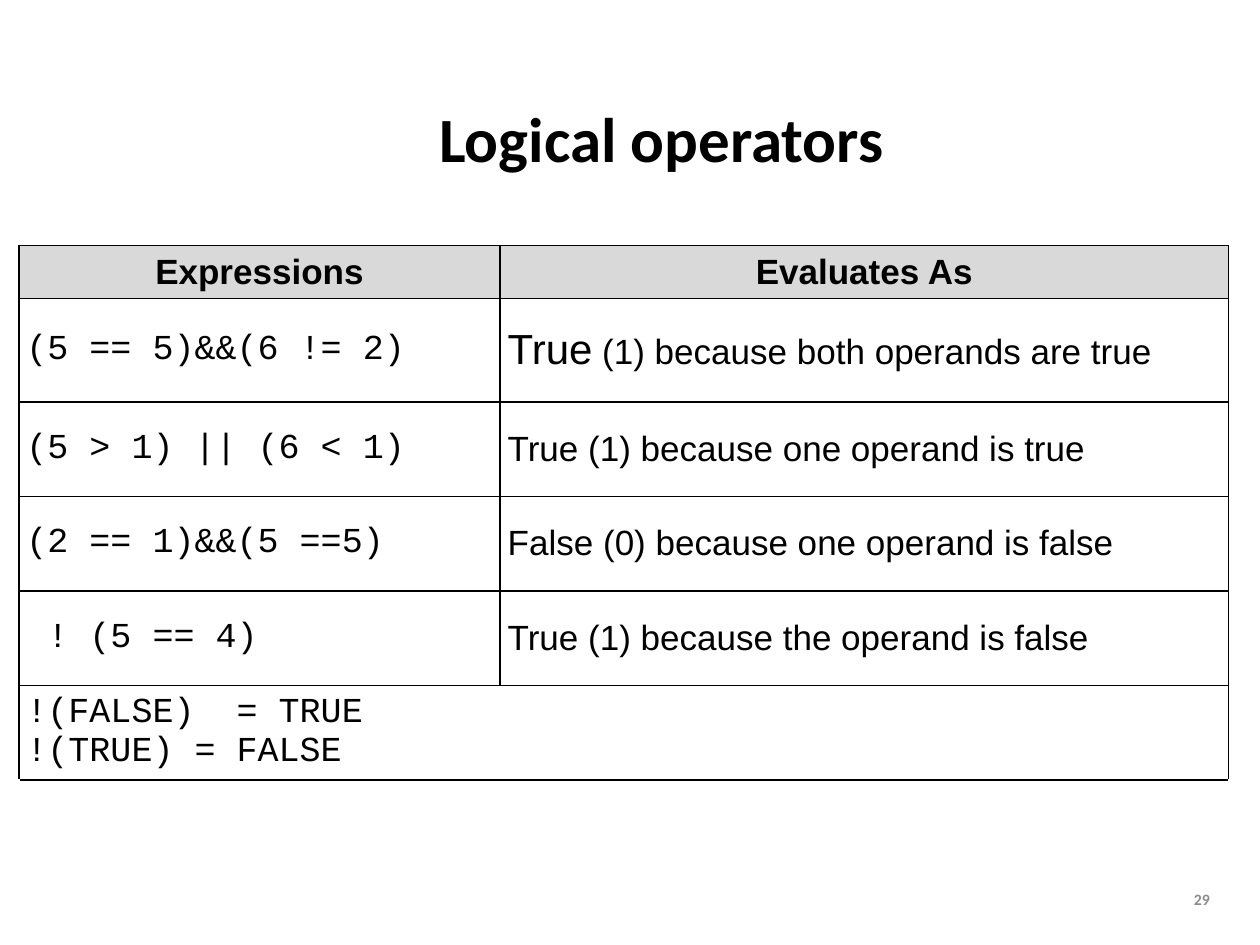
"""Build the slide on logical operators with its table of evaluated expressions."""
from lxml.etree import SubElement, Element
from pptx import Presentation
from pptx.dml.color import RGBColor
from pptx.enum.text import MSO_ANCHOR as Anchor, PP_ALIGN as Align
from pptx.oxml.ns import qn
from pptx.util import Pt

PX = 9144
SANS, MONO = "Arial", "Courier New"
COLUMNS = [382, 578]
ROWS = [42, 82, 75, 75, 75, 75, 84]
EXPRESSIONS = [
    ("(5 == 5)&&(6 != 2)", "True (1) because both operands are true"),
    ("(5 > 1) || (6 < 1)", "True (1) because one operand is true"),
    ("(2 == 1)&&(5 ==5)", "False (0) because one operand is false"),
    (" ! (5 == 4)", "True (1) because the operand is false"),
]
CONTENT = [("Expressions", "Evaluates As"), *EXPRESSIONS, ("!(FALSE)  = TRUE\n!(TRUE) = FALSE", ""), ("", "")]


def style(frame, name, size, bold=False, align=Align.LEFT, color="000000"):
    frame.word_wrap = True
    for para in frame.paragraphs:
        para.alignment = align
        para.font.name, para.font.size, para.font.bold = name, Pt(size), bold
        para.font.color.rgb = RGBColor.from_string(color)


def set_borders(cell, sides):
    properties = cell._tc.get_or_add_tcPr()
    for index, side in enumerate(sides):
        line = Element(qn(f"a:ln{side}"), w=str(Pt(1)))
        fill = SubElement(line, qn("a:solidFill"))
        SubElement(fill, qn("a:srgbClr"), val="000000")
        properties.insert(index, line)


deck = Presentation()
deck.slide_width, deck.slide_height = 1000 * PX, 750 * PX
page = deck.slides.add_slide(deck.slide_layouts[6])

for text, place, size, align, color in [
    ("Logical operators", (231, 85, 588, 56), 36, Align.CENTER, "000000"),
    ("29", (931, 695, 39, 40), 9, Align.RIGHT, "8C8C8C"),
]:
    box = page.shapes.add_textbox(*(value * PX for value in place))
    box.text_frame.text = text
    box.text_frame.vertical_anchor = Anchor.MIDDLE
    style(box.text_frame, "Calibri", size, True, align, color)
    box.text_frame.paragraphs[0].line_spacing = 0.9

table = page.shapes.add_table(
    len(ROWS), len(COLUMNS), 15 * PX, 195 * PX, sum(COLUMNS) * PX, sum(ROWS) * PX
).table
table.first_row = table.horz_banding = False
for column, width in zip(table.columns, COLUMNS):
    column.width = width * PX
for row, height in zip(table.rows, ROWS):
    row.height = height * PX
for merged in (5, 6):
    table.cell(merged, 0).merge(table.cell(merged, 1))

for row, texts in enumerate(CONTENT):
    for column, text in enumerate(texts):
        cell = table.cell(row, column)
        cell.vertical_anchor = Anchor.MIDDLE
        cell.margin_left = cell.margin_right = 6 * PX
        cell.margin_top = cell.margin_bottom = 0
        cell.text = text
        if row == 0:
            style(cell.text_frame, SANS, 20, True, Align.CENTER)
            cell.fill.solid()
            cell.fill.fore_color.rgb = RGBColor.from_string("D9D9D9")
        else:
            style(cell.text_frame, SANS if column else MONO, 20)
            cell.fill.background()
        set_borders(cell, "T" if row == len(ROWS) - 1 else "LRTB")

para = table.cell(1, 1).text_frame.paragraphs[0]
span = para.runs[0]
span.text = "True"
span.font.size = Pt(24)
para.add_run().text = EXPRESSIONS[0][1].removeprefix("True")

deck.save("out.pptx")
